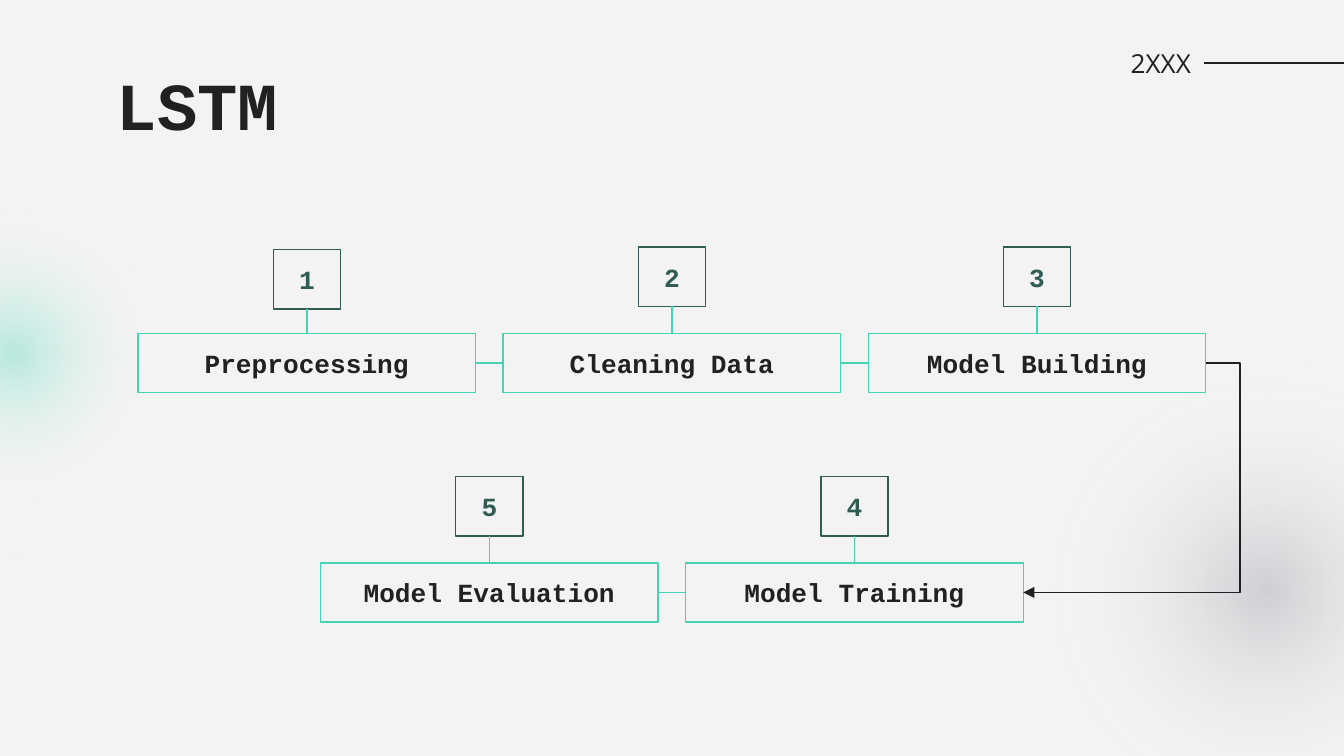
from dataclasses import dataclass

import lxml.etree
import pptx
import pptx.dml.color
import pptx.enum.shapes
import pptx.enum.text
import pptx.oxml
import pptx.oxml.ns
import pptx.util
from pptx.util import Cm

COLORS = {
    "background": "F3F3F3",
    "ink": "212121",
    "mint": "44D4B4",
    "forest": "305C54",
    "gray": "B8B9C0",
    "white": "FFFFFF",
}
HEADING_FONT, BODY_FONT = "Courier New", "Open Sans"
SHAPE = pptx.enum.shapes.MSO_SHAPE
CONNECTOR = pptx.enum.shapes.MSO_CONNECTOR
ALIGN = pptx.enum.text.PP_ALIGN
ANCHOR = pptx.enum.text.MSO_ANCHOR

# Grid, in centimetres
BOX_W, BOX_H, BADGE_W = 6.38, 1.12, 1.27
PITCH, FIRST_CENTER = 6.9, 5.8
BADGE_RISE = 1.63
TOP_ROW, BOTTOM_ROW = 6.3, 10.64


@dataclass
class Step:
    number: int
    label: str
    column: float
    top: float
    badge_drop: float = 0

    @property
    def center(self) -> float:
        return FIRST_CENTER + self.column * PITCH


@dataclass
class Glow:
    left: float
    top: float
    size: float
    color: str
    opacity: int


STEPS = [
    Step(1, "Preprocessing", 0, TOP_ROW, 0.05),
    Step(2, "Cleaning Data", 1, TOP_ROW),
    Step(3, "Model Building", 2, TOP_ROW),
    Step(4, "Model Training", 1.5, BOTTOM_ROW),
    Step(5, "Model Evaluation", 0.5, BOTTOM_ROW),
]
GLOWS = [Glow(17.65, 4.9, 12.5, "gray", 61), Glow(-3.66, 2.77, 7.8, "mint", 34)]


def rgb(color: str) -> pptx.dml.color.RGBColor:
    return pptx.dml.color.RGBColor.from_string(COLORS[color])


def write(shape, text: str, size: float, color: str, align, anchor,
          font: str = HEADING_FONT, bold: bool = True) -> None:
    frame = shape.text_frame
    frame.word_wrap = True
    frame.auto_size = pptx.enum.text.MSO_AUTO_SIZE.NONE
    frame.vertical_anchor = anchor
    frame.margin_left = frame.margin_right = Cm(0.25)
    frame.margin_top = frame.margin_bottom = Cm(0.25)
    paragraph = frame.paragraphs[0]
    paragraph.alignment = align
    paragraph.line_spacing = 1.0
    run = paragraph.add_run()
    run.text = text
    run.font.size = pptx.util.Pt(size)
    run.font.name = font
    run.font.bold = bold
    run.font.color.rgb = rgb(color)


def add_glow(slide, glow: Glow) -> None:
    shape = slide.shapes.add_shape(SHAPE.OVAL, Cm(glow.left), Cm(glow.top),
                                   Cm(glow.size), Cm(glow.size))
    shape.shadow.inherit = False
    shape.line.fill.background()
    shape.fill.gradient()
    stops = [(0, glow.color, glow.opacity), (50, "white", 0), (100, "white", 0)]
    stop_xml = "".join(
        f'<a:gs pos="{pos * 1000}"><a:srgbClr val="{COLORS[color]}">'
        f'<a:alpha val="{alpha * 1000}"/></a:srgbClr></a:gs>'
        for pos, color, alpha in stops)
    radial = pptx.oxml.parse_xml(
        f'<a:gradFill {pptx.oxml.ns.nsdecls("a")} rotWithShape="1">'
        f'<a:gsLst>{stop_xml}</a:gsLst><a:path path="circle">'
        '<a:fillToRect l="50000" t="50000" r="50000" b="50000"/>'
        '</a:path></a:gradFill>')
    linear = shape.element.spPr.find(pptx.oxml.ns.qn("a:gradFill"))
    linear.getparent().replace(linear, radial)


def add_frame(slide, center: float, top: float, width: float,
              text: str, line_color: str, text_color: str):
    shape = slide.shapes.add_shape(SHAPE.RECTANGLE, Cm(center - width / 2), Cm(top),
                                   Cm(width), Cm(BOX_H))
    shape.shadow.inherit = False
    shape.fill.background()
    shape.line.color.rgb = rgb(line_color)
    shape.line.width = pptx.util.Pt(0.75)
    write(shape, text, 14, text_color, ALIGN.CENTER, ANCHOR.MIDDLE)
    return shape


def add_line(slide, start: tuple[float, float], end: tuple[float, float],
             color: str, kind=CONNECTOR.STRAIGHT):
    line = slide.shapes.add_connector(kind, *map(Cm, start + end))
    line.line.color.rgb = rgb(color)
    line.line.width = pptx.util.Pt(0.75)
    lxml.etree.SubElement(line.element.spPr, pptx.oxml.ns.qn("a:effectLst"))
    return line


def join(slide, first, first_side: int, second, second_side: int) -> None:
    line = add_line(slide, (0, 0), (0, 0), "mint")
    line.begin_connect(first, first_side)
    line.end_connect(second, second_side)


def add_return_arrow(slide, source: Step, target: Step, bend_x: float) -> None:
    tip_x, source_x = target.center + BOX_W / 2, source.center + BOX_W / 2
    arrow = add_line(slide, (tip_x, target.top + BOX_H / 2),
                     (source_x, source.top + BOX_H / 2), "ink", CONNECTOR.ELBOW)
    qn = pptx.oxml.ns.qn
    adjustments = arrow.element.spPr.find(qn("a:prstGeom")).find(qn("a:avLst"))
    bend = round((bend_x - tip_x) / (source_x - tip_x) * 100000)
    lxml.etree.SubElement(adjustments, qn("a:gd"), name="adj1", fmla=f"val {bend}")
    outline = arrow.element.spPr.find(qn("a:ln"))
    lxml.etree.SubElement(outline, qn("a:headEnd"), type="triangle")


def main() -> None:
    deck = pptx.Presentation()
    deck.slide_width, deck.slide_height = Cm(25.4), Cm(14.29)
    slide = deck.slides.add_slide(deck.slide_layouts[5])
    slide.background.fill.solid()
    slide.background.fill.fore_color.rgb = rgb("background")

    # Soft glows
    for glow in GLOWS:
        add_glow(slide, glow)

    # Title
    title = slide.shapes.title
    title.left, title.top = Cm(1.96), Cm(0.94)
    title.width, title.height = Cm(21.46), Cm(2.62)
    write(title, "LSTM", 36, "ink", ALIGN.LEFT, ANCHOR.TOP)

    # Steps with their numbers
    boxes = {}
    for step in STEPS:
        box = add_frame(slide, step.center, step.top, BOX_W, step.label, "mint", "ink")
        badge = add_frame(slide, step.center, step.top - BADGE_RISE + step.badge_drop,
                          BADGE_W, str(step.number), "forest", "forest")
        join(slide, badge, 2, box, 0)
        boxes[step.number] = box

    # Links between neighbours, then the turn to the lower row
    for left, right in [(1, 2), (2, 3), (5, 4)]:
        join(slide, boxes[left], 3, boxes[right], 1)
    add_return_arrow(slide, STEPS[2], STEPS[3], 23.44)

    # Year mark
    add_line(slide, (22.76, 1.19), (25.4, 1.19), "ink")
    year = slide.shapes.add_textbox(Cm(19.05), Cm(0.71), Cm(3.71), Cm(0.97))
    write(year, "2XXX", 14, "ink", ALIGN.RIGHT, ANCHOR.MIDDLE, BODY_FONT, False)

    deck.save("out.pptx")


if __name__ == "__main__":
    main()
